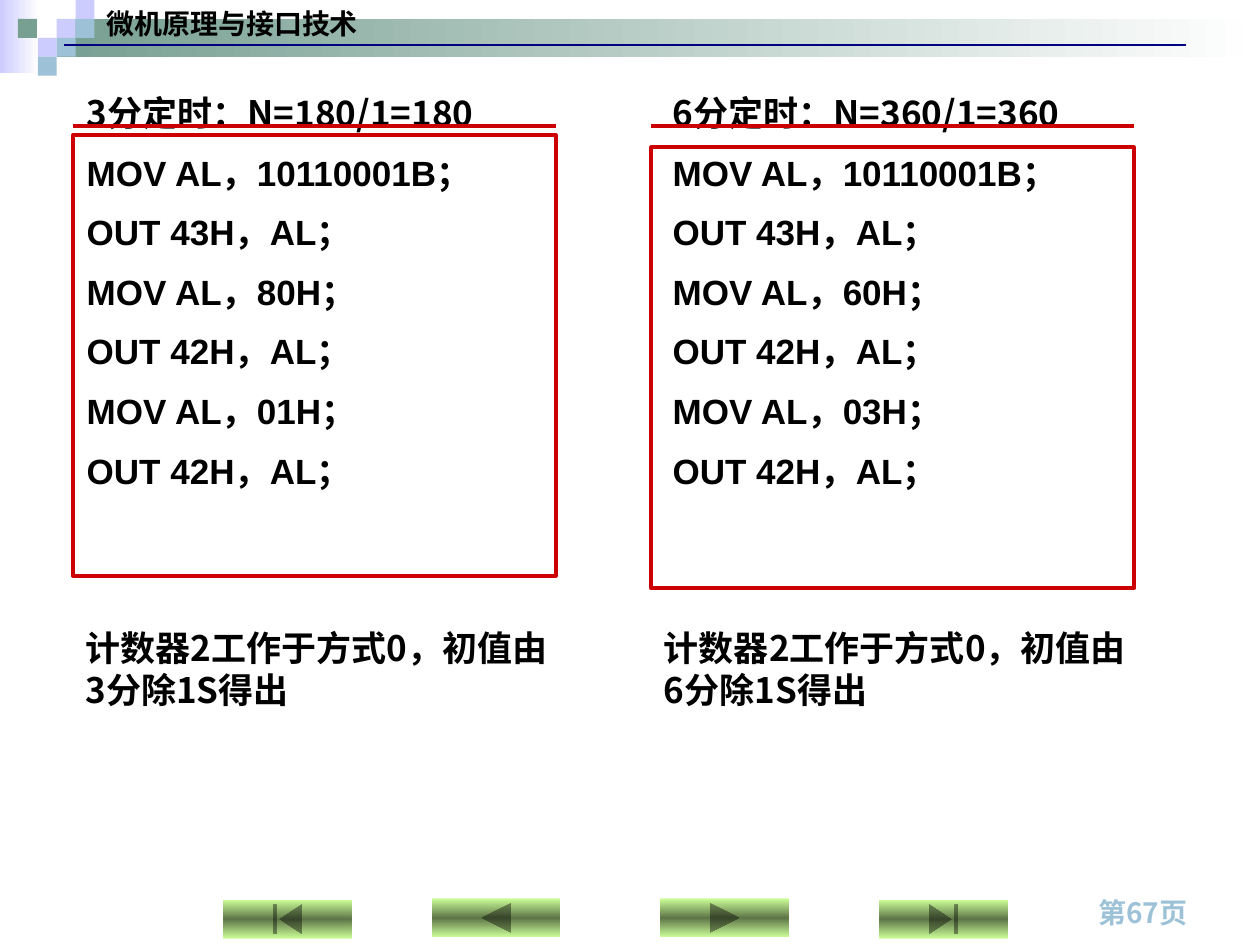
import copy

import pptx
import pptx.dml.color
import pptx.enum.shapes
import pptx.oxml.ns
import pptx.util
from lxml import etree

Inches, Pt = pptx.util.Inches, pptx.util.Pt
SHAPES = pptx.enum.shapes.MSO_SHAPE

CJK, LATIN = "Noto Sans CJK SC", "Arial"
BLACK, RED, NAVY = "000000", "CC0000", "000080"
LILAC, BLUE, GREEN, WHITE = "CCCCFF", "9DC2D7", "779F92", "FFFFFF"
LIME, OLIVE = "CCFF99", "5E7647"

BANDS = [
    ((0, 0, 0.31, 0.58), (LILAC, WHITE)),
    ((0.45, 0.15, 9.55, 0.3), (GREEN, WHITE)),
]
TILE = 0.15
TILES = [  # column, row, colour
    (3, 1, LILAC), (4, 0, LILAC), (4, 1, BLUE), (2, 2, LILAC),
    (0.95, 1, GREEN), (3, 2, BLUE), (2, 3, BLUE),
]
BUTTONS = [  # left, top, preset
    (5.24, 7.13, SHAPES.ACTION_BUTTON_FORWARD_OR_NEXT),
    (3.43, 7.13, SHAPES.ACTION_BUTTON_BACK_OR_PREVIOUS),
    (6.98, 7.14, SHAPES.ACTION_BUTTON_END),
    (1.77, 7.14, SHAPES.ACTION_BUTTON_BEGINNING),
]
COLUMNS = [
    {"minutes": 3, "count": 180, "low": "80H", "high": "01H",
     "code_left": 0.59, "frame_left": 0.58, "frame_top": 1.07},
    {"minutes": 6, "count": 360, "low": "60H", "high": "03H",
     "code_left": 5.24, "frame_left": 5.17, "frame_top": 1.17},
]


def rgb(value):
    return pptx.dml.color.RGBColor.from_string(value)


def set_gradient(fill, colors, angle, properties):
    """Spread the colours evenly over the gradient."""
    fill.gradient()
    fill.gradient_angle = angle
    stop_list = properties.find(".//" + pptx.oxml.ns.qn("a:gsLst"))
    while len(stop_list) < len(colors):
        stop_list.append(copy.deepcopy(stop_list[0]))
    for index, (stop, color) in enumerate(zip(fill.gradient_stops, colors)):
        stop.position = index / (len(colors) - 1)
        stop.color.rgb = rgb(color)


def add_shape(slide, preset, box, fill=None, angle=0, outline=None):
    """A tuple as fill is a gradient, None is no fill."""
    shape = slide.shapes.add_shape(preset, *map(Inches, box))
    shape.shadow.inherit = False
    if fill is None:
        shape.fill.background()
    elif isinstance(fill, tuple):
        set_gradient(shape.fill, fill, angle, shape.element.spPr)
    else:
        shape.fill.solid()
        shape.fill.fore_color.rgb = rgb(fill)
    if outline:
        shape.line.color.rgb = rgb(outline)
        shape.line.width = Pt(2.25)
    else:
        shape.line.fill.background()


def add_rule(slide, left, right, top, color, width):
    line = slide.shapes.add_connector(
        pptx.enum.shapes.MSO_CONNECTOR.STRAIGHT,
        Inches(left), Inches(top), Inches(right), Inches(top))
    line.line.color.rgb = rgb(color)
    line.line.width = Pt(width)
    etree.SubElement(line.element.spPr, pptx.oxml.ns.qn("a:effectLst"))


def add_text(slide, box, lines, size, color=BLACK):
    """Each line is a (text, Latin font) pair."""
    frame = slide.shapes.add_textbox(*map(Inches, box)).text_frame
    frame.word_wrap = True
    for index, (text, font) in enumerate(lines):
        paragraph = frame.add_paragraph() if index else frame.paragraphs[0]
        paragraph.line_spacing = Pt(size * 1.2)
        paragraph.space_before = Pt(size / 2 if index else 0)
        run = paragraph.add_run()
        run.text = text
        run.font.name = font
        run.font.size = Pt(size)
        run.font.bold = True
        run.font.color.rgb = rgb(color)
        east_asian = etree.SubElement(run.font._element, pptx.oxml.ns.qn("a:ea"))
        east_asian.set("typeface", CJK)


def add_header_and_footer(slide):
    for box, colors in BANDS:
        add_shape(slide, SHAPES.RECTANGLE, box, colors)
    for column, row, color in TILES:
        box = (column * TILE, row * TILE, TILE, TILE)
        add_shape(slide, SHAPES.RECTANGLE, box, color)
    add_text(slide, (8.62, 7.06, 1.26, 0.37), [("第67页", CJK)], 16, BLUE)
    add_text(slide, (0.75, 0, 8.66, 0.37), [("微机原理与接口技术", CJK)], 16)
    add_rule(slide, 0.51, 9.41, 0.36, NAVY, 1.25)
    for left, top, preset in BUTTONS:
        add_shape(slide, preset, (left, top, 1.02, 0.31), (LIME, OLIVE, LIME), 90)


def add_timer_column(slide, column):
    minutes, count, left = column["minutes"], column["count"], column["frame_left"]
    code = ["MOV AL，10110001B；", "OUT 43H，AL；"]
    for value in (column["low"], column["high"]):
        code += [f"MOV AL，{value}；", "OUT 42H，AL；"]
    lines = [(f"{minutes}分定时：N={count}/1={count}", CJK)]
    lines += [(instruction, LATIN) for instruction in code]
    add_text(slide, (column["code_left"], 0.68, 4, 3.43), lines, 20)
    add_rule(slide, left, left + 3.83, 1, RED, 2.25)
    add_shape(slide, SHAPES.RECTANGLE, (left, column["frame_top"], 3.83, 3.5),
              outline=RED)
    note = f"计数器2工作于方式0，初值由{minutes}分除1S得出"
    add_text(slide, (left, 4.92, 3.92, 0.77), [(note, CJK)], 20)


def main():
    presentation = pptx.Presentation()
    presentation.slide_width, presentation.slide_height = Inches(10), Inches(7.5)
    slide = presentation.slides.add_slide(presentation.slide_layouts[6])
    add_header_and_footer(slide)
    for column in COLUMNS:
        add_timer_column(slide, column)
    presentation.save("out.pptx")


if __name__ == "__main__":
    main()
